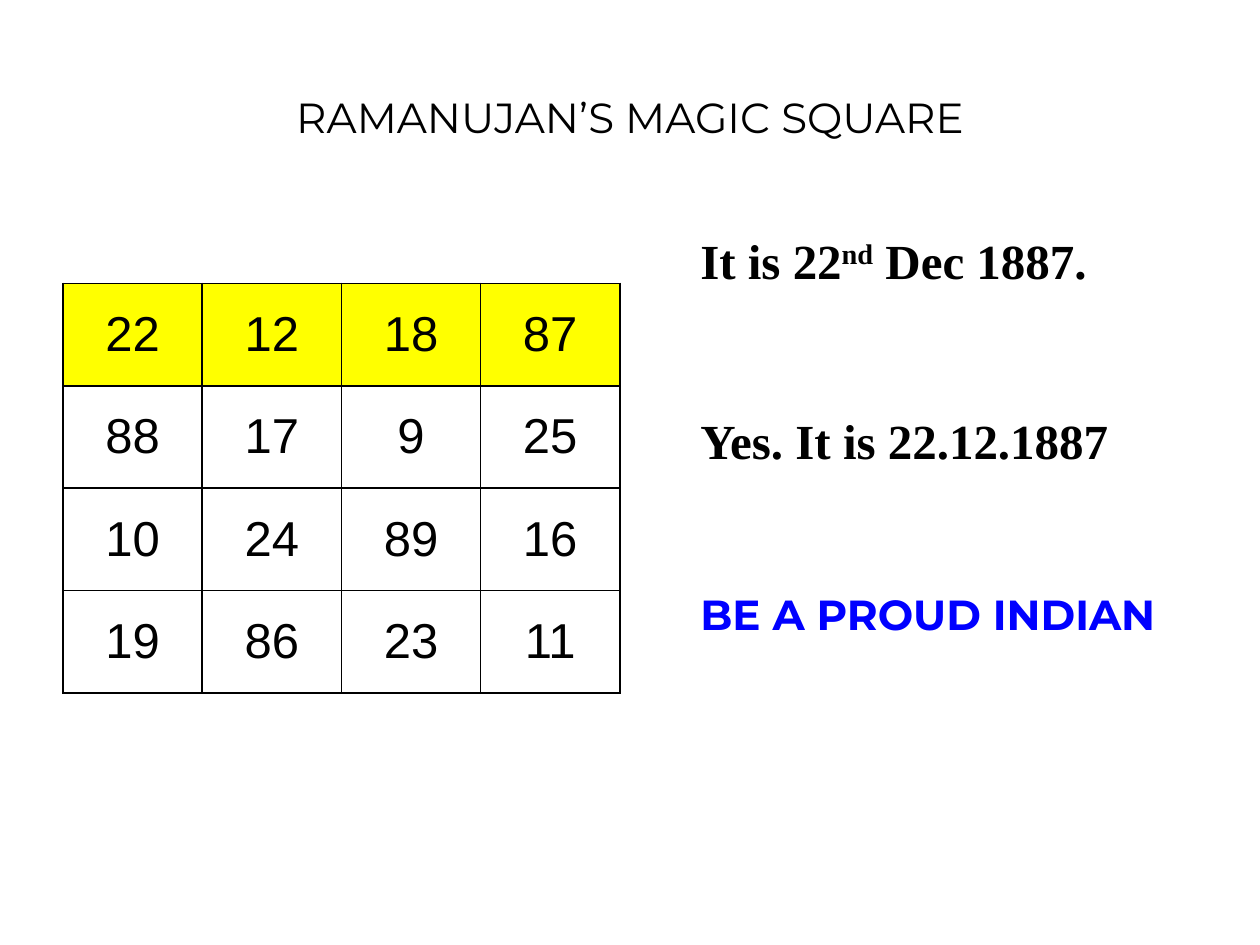
from dataclasses import dataclass

from lxml.etree import SubElement
from pptx import Presentation
from pptx.dml.color import RGBColor
from pptx.enum.text import MSO_ANCHOR, PP_ALIGN
from pptx.oxml.ns import qn
from pptx.util import Inches, Pt


@dataclass(frozen=True)
class Theme:
    black: str = "000000"
    white: str = "FFFFFF"
    yellow: str = "FFFF00"
    blue: str = "0000FF"
    heading: str = "Montserrat"
    body: str = "Times New Roman"
    number: str = "Arial"
    heading_size: int = 24
    body_size: int = 28
    border: float = 1.08


class Deck:
    """Draw styled elements on the current slide."""

    def __init__(self, prs, theme):
        self.theme = theme
        self.slide = prs.slides.add_slide(prs.slide_layouts[6])

    def run(self, p, text, font, size, color, bold=False, raised=False):
        r = p.add_run()
        r.text = text
        r.font.name = font
        r.font.size = Pt(size)
        r.font.bold = bold
        r.font.color.rgb = RGBColor.from_string(color)
        if raised:
            r.font._element.set("baseline", "30000")

    def box(self, left, top, width, height, anchor):
        sp = self.slide.shapes.add_textbox(
            Inches(left), Inches(top), Inches(width), Inches(height))
        tf = sp.text_frame
        tf.word_wrap = True
        tf.vertical_anchor = anchor
        return tf

    def title(self, text):
        t = self.theme
        p = self.box(0.5, 0.3, 9, 1.25, MSO_ANCHOR.MIDDLE).paragraphs[0]
        p.alignment = PP_ALIGN.CENTER
        self.run(p, text, t.heading, t.heading_size, t.black)

    def notes(self, lines):
        t = self.theme
        tf = self.box(5.08, 1.75, 4.42, 4.95, MSO_ANCHOR.TOP)
        tf.margin_top = Inches(0.08)
        for i, (gap, font, size, color, runs) in enumerate(lines):
            p = tf.add_paragraph() if i else tf.paragraphs[0]
            pPr = p._p.get_or_add_pPr()
            pPr.set("marL", str(Inches(0.38)))
            pPr.set("indent", "0")
            if gap:
                p.space_before = Pt(gap)
            for text, raised in runs:
                self.run(p, text, font, size, color, True, raised)

    def borders(self, cell):
        tcPr = cell._tc.get_or_add_tcPr()
        for i, side in enumerate(("lnL", "lnR", "lnT", "lnB")):
            ln = tcPr.makeelement(qn(f"a:{side}"), {"w": str(Pt(self.theme.border))})
            fill = SubElement(ln, qn("a:solidFill"))
            SubElement(fill, qn("a:srgbClr"), val=self.theme.black)
            tcPr.insert(i, ln)

    def square(self, rows):
        t = self.theme
        n = len(rows)
        table = self.slide.shapes.add_table(
            n, n, Inches(0.5), Inches(2.25), Inches(4.42), Inches(3.25)).table
        for i, values in enumerate(rows):
            for j, value in enumerate(values):
                cell = table.cell(i, j)
                cell.vertical_anchor = MSO_ANCHOR.MIDDLE
                cell.fill.solid()
                cell.fill.fore_color.rgb = RGBColor.from_string(
                    t.white if i else t.yellow)
                self.borders(cell)
                p = cell.text_frame.paragraphs[0]
                p.alignment = PP_ALIGN.CENTER
                self.run(p, str(value), t.number, t.body_size, t.black)


def main():
    prs = Presentation()
    prs.slide_width, prs.slide_height = Inches(10), Inches(7.5)
    t = Theme()
    deck = Deck(prs, t)
    deck.title("RAMANUJAN’S MAGIC SQUARE")
    deck.square([
        (22, 12, 18, 87),
        (88, 17, 9, 25),
        (10, 24, 89, 16),
        (19, 86, 23, 11),
    ])
    deck.notes([
        (0, t.body, t.body_size, t.black,
         [("It is 22", False), ("nd", True), (" Dec 1887.", False)]),
        (69, t.body, t.body_size, t.black, [("Yes. It is 22.12.1887", False)]),
        (68, t.heading, t.heading_size, t.blue, [("BE A PROUD INDIAN", False)]),
    ])
    prs.save("out.pptx")


if __name__ == "__main__":
    main()
